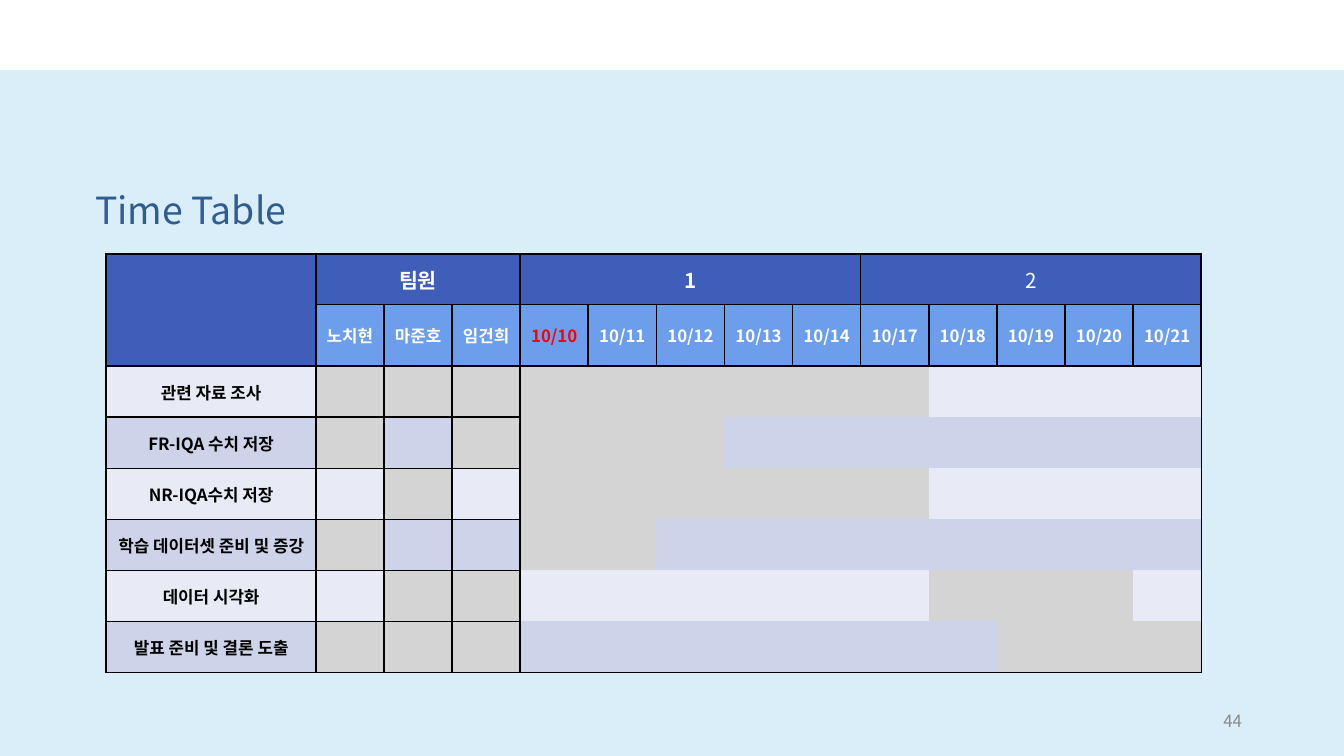
from lxml.etree import SubElement
from pptx import Presentation
from pptx.dml.color import RGBColor as RGB
from pptx.enum.shapes import MSO_SHAPE as SHAPE
from pptx.enum.text import MSO_ANCHOR as ANCHOR, PP_ALIGN as ALIGN
from pptx.oxml.ns import qn
from pptx.util import Inches, Pt

COLORS = {
    "sky": "DAEEFA", "white": "FFFFFF", "black": "000000", "red": "FF0000",
    "title": "305C8F", "number": "888888", "head": "3E5EB9", "subhead": "6D9EEB",
    "odd": "E8EBF5", "even": "CDD4EA", "busy": "D4D4D4",
}
FONT = "Noto Sans CJK KR"
UNIT = 0.1
COLS, ROWS = 100, 56.25
SIDES = "LRTB"

GROUPS = [("팀원", 1, 3, True), ("1", 4, 8, True), ("2", 9, 13, False)]
MEMBERS = ["노치현", "마준호", "임건희"]
DAYS = [f"10/{day}" for day in (*range(10, 15), *range(17, 22))]
TASKS = [
    ("관련 자료 조사", (1, 2, 3), 0, 6),
    ("FR-IQA 수치 저장", (1, 3), 0, 3),
    ("NR-IQA수치 저장", (2,), 0, 6),
    ("학습 데이터셋 준비 및 증강", (1,), 0, 2),
    ("데이터 시각화", (2, 3), 6, 9),
    ("발표 준비 및 결론 도출", (1, 2, 3), 7, 10),
]
FIRST_DAY = 1 + len(MEMBERS)
LAST_COL = len(MEMBERS) + len(DAYS)
LAST_ROW = 1 + len(TASKS)


def grid(*lengths):
    return [Inches(n * UNIT) for n in lengths]


class Deck:
    def __init__(self):
        self.prs = Presentation()
        self.prs.slide_width, self.prs.slide_height = grid(COLS, ROWS)
        self.s = self.prs.slides.add_slide(self.prs.slide_layouts[6])
        self.paint(self.s.background.fill, "sky")

    def paint(self, fill, color):
        fill.solid()
        fill.fore_color.rgb = RGB.from_string(COLORS[color])

    def style(self, tf, text, size, color, bold=False, align=ALIGN.LEFT):
        tf.text = text
        p = tf.paragraphs[0]
        p.alignment = align
        for r in p.runs:
            r.font.size, r.font.bold, r.font.name = Pt(size), bold, FONT
            r.font.color.rgb = RGB.from_string(COLORS[color])
            SubElement(r.font._element, qn("a:ea"), typeface=FONT)
        return p

    def band(self, *box):
        sp = self.s.shapes.add_shape(SHAPE.RECTANGLE, *grid(*box))
        sp.shadow.inherit = False
        self.paint(sp.fill, "white")
        sp.line.fill.background()

    def text(self, box, text, size, color, insets, align=ALIGN.LEFT,
             anchor=ANCHOR.TOP, spacing=1):
        tf = self.s.shapes.add_textbox(*grid(*box)).text_frame
        tf.word_wrap = True
        tf.vertical_anchor = anchor
        x, y = grid(*insets)
        tf.margin_left = tf.margin_right = x
        tf.margin_top = tf.margin_bottom = y
        self.style(tf, text, size, color, align=align).line_spacing = spacing

    def table(self, box, widths, heights):
        frame = self.s.shapes.add_table(len(heights), len(widths), *grid(*box))
        table = frame.table
        for col, width in zip(table.columns, grid(*widths)):
            col.width = width
        for row, height in zip(table.rows, grid(*heights)):
            row.height = height
        return table

    def border(self, cell, lines):
        tcPr = cell._tc.get_or_add_tcPr()
        for side in SIDES:
            width = lines.get(side, 0)
            ln = SubElement(tcPr, qn(f"a:ln{side}"), w=str(Pt(width)))
            if width:
                fill = SubElement(ln, qn("a:solidFill"))
                SubElement(fill, qn("a:srgbClr"), val=COLORS["black"])
            else:
                SubElement(ln, qn("a:noFill"))

    def cell(self, cell, fill, lines, text="", size=9, color="white", bold=True):
        self.border(cell, lines)
        self.paint(cell.fill, fill)
        cell.vertical_anchor = ANCHOR.MIDDLE
        cell.margin_left, cell.margin_right = grid(0.75, 0.75)
        cell.margin_top, cell.margin_bottom = grid(0.38, 0.38)
        p = self.style(cell.text_frame, text, size, color, bold, ALIGN.CENTER)
        if not text:
            SubElement(p._p, qn("a:endParaRPr"), sz=str(size * 100))


def day_lines(row, col):
    edges = {"L": (col == FIRST_DAY, 1), "R": (col == LAST_COL, 0.75),
             "T": (row == 2, 1), "B": (row == LAST_ROW, 1)}
    return {side: width for side, (shown, width) in edges.items() if shown}


def timetable(deck):
    table = deck.table((7.9, 18.9, 81.5, 31.1),
                       [15.6] + [5.07] * LAST_COL,
                       [3.75, 4.6] + [3.8] * len(TASKS))
    boxed = dict.fromkeys(SIDES, 1)
    heads = {first: (text, bold) for text, first, _, bold in GROUPS}
    for col in range(LAST_COL + 1):
        text, bold = heads.get(col, ("", True))
        deck.cell(table.cell(0, col), "head", boxed, text, 11, bold=bold)
    deck.cell(table.cell(1, 0), "head", boxed)
    for col, text in enumerate(MEMBERS + DAYS, 1):
        color = "red" if text == DAYS[0] else "white"
        deck.cell(table.cell(1, col), "subhead", boxed, text, color=color)
    table.cell(0, 0).merge(table.cell(1, 0))
    for _, first, last, _ in GROUPS:
        table.cell(0, first).merge(table.cell(0, last))

    for row, (task, people, start, end) in enumerate(TASKS, 2):
        stripe = "even" if row % 2 else "odd"
        busy = {*people, *range(FIRST_DAY + start, FIRST_DAY + end)}
        deck.cell(table.cell(row, 0), stripe, boxed, task, color="black")
        for col in range(1, LAST_COL + 1):
            lines = boxed if col < FIRST_DAY else day_lines(row, col)
            deck.cell(table.cell(row, col), "busy" if col in busy else stripe, lines)


def main():
    deck = Deck()
    deck.band(0, 0, COLS, 5.2)
    deck.text((70.6, 52.1, 22.5, 3), "44", 9, "number", (0.7, 0.4),
              ALIGN.RIGHT, ANCHOR.MIDDLE)
    timetable(deck)
    deck.text((6.1, 12.4, 48, 5.4), "Time Table", 20, "title", (1, 1), spacing=1.15)
    deck.prs.save("out.pptx")


if __name__ == "__main__":
    main()
